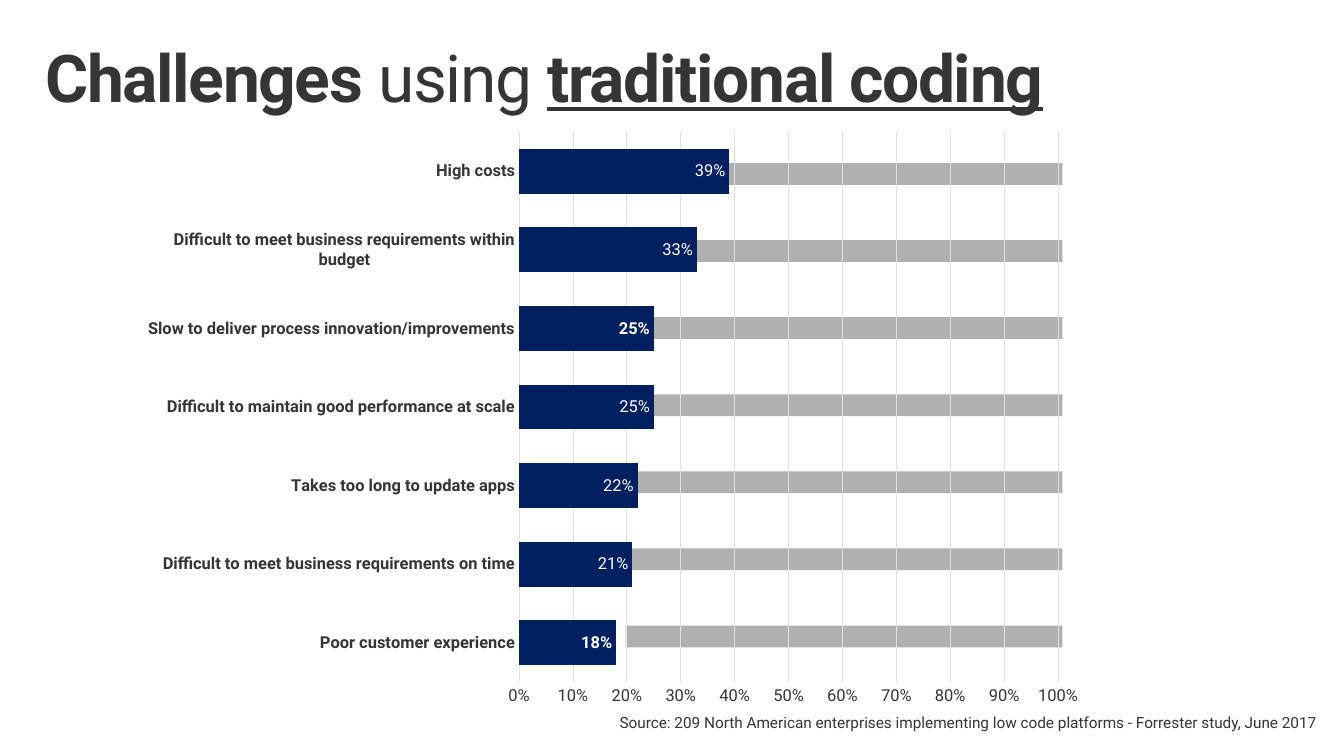
from lxml.etree import SubElement
from pptx import Presentation
from pptx.chart.data import CategoryChartData
from pptx.dml.color import RGBColor
from pptx.enum.chart import XL_CHART_TYPE, XL_LABEL_POSITION, XL_TICK_MARK
from pptx.enum.shapes import MSO_SHAPE
from pptx.enum.text import MSO_ANCHOR, MSO_AUTO_SIZE, PP_ALIGN
from pptx.oxml.ns import qn
from pptx.util import Inches, Pt

TITLE = [("Challenges", True, False), (" using ", False, False), ("traditional coding", True, True)]
SOURCE = "Source: 209 North American enterprises implementing low code platforms - Forrester study, June 2017"
ISSUES = [
    ("Poor customer experience", 0.18, True),
    ("Difficult to meet business requirements on time", 0.21, False),
    ("Takes too long to update apps", 0.22, False),
    ("Difficult to maintain good performance at scale", 0.25, False),
    ("Slow to deliver process innovation/improvements", 0.25, True),
    ("Difficult to meet business requirements within budget", 0.33, False),
    ("High costs", 0.39, False),
]
COLORS = {"text": "353535", "bar": "002060", "track": "B0B0B0", "grid": "E1E1E1", "label": "FFFFFF"}
FONT = "Roboto"
TRACK_TOP, TRACK_STEP = 1.65, 0.78
PLOT = {"x": 0.403, "y": 0.019, "w": 0.556, "h": 0.922}


def color(name):
    return RGBColor.from_string(COLORS[name])


def style(font, size, bold=False, tone="text"):
    font.name = FONT
    font.size = Pt(size)
    font.bold = bold
    font.color.rgb = color(tone)


def rule(line):
    line.color.rgb = color("grid")
    line.width = Pt(0.75)


def pad(frame, side, edge):
    frame.margin_left = frame.margin_right = Inches(side)
    frame.margin_top = frame.margin_bottom = Inches(edge)


def add_tracks(slide):
    for row in range(len(ISSUES)):
        top = TRACK_TOP + row * TRACK_STEP
        track = slide.shapes.add_shape(
            MSO_SHAPE.RECTANGLE, Inches(6.33), Inches(top), Inches(4.42), Inches(0.22))
        track.shadow.inherit = False
        track.fill.solid()
        track.fill.fore_color.rgb = color("track")
        track.line.fill.background()


def add_title(slide):
    title = slide.shapes.title
    title.left, title.top, title.width, title.height = map(Inches, (0.3, 0.32, 13, 1))
    frame = title.text_frame
    frame.auto_size = MSO_AUTO_SIZE.NONE
    frame.vertical_anchor = MSO_ANCHOR.MIDDLE
    pad(frame, 0.16, 0.1)
    para = frame.paragraphs[0]
    para.alignment = PP_ALIGN.LEFT
    para.line_spacing = 0.9
    for text, bold, under in TITLE:
        run = para.add_run()
        run.text = text
        style(run.font, 48, bold)
        run.font.underline = under
        run._r.get_or_add_rPr().set("spc", "-100")


def add_source(slide):
    box = slide.shapes.add_textbox(Inches(6.07), Inches(7.15), Inches(7.53), Inches(0.5))
    frame = box.text_frame
    frame.word_wrap = False
    frame.auto_size = MSO_AUTO_SIZE.SHAPE_TO_FIT_TEXT
    pad(frame, 0.2, 0.16)
    para = frame.paragraphs[0]
    para.line_spacing = 0.9
    para.space_after = Pt(6.1)
    run = para.add_run()
    run.text = SOURCE
    style(run.font, 11.2)


def place_plot(chart):
    area = chart._chartSpace.chart.plotArea
    old = area.find(qn("c:layout"))
    if old is not None:
        area.remove(old)
    layout = SubElement(area, qn("c:layout"))
    area.insert(0, layout)
    manual = SubElement(layout, qn("c:manualLayout"))
    parts = {"layoutTarget": "inner", "xMode": "edge", "yMode": "edge", **PLOT}
    for tag, val in parts.items():
        SubElement(manual, qn("c:" + tag)).set("val", str(val))


def add_chart(slide):
    data = CategoryChartData(number_format="0%")
    data.categories = [name for name, _, _ in ISSUES]
    data.add_series("Series 1", [val for _, val, _ in ISSUES])
    chart = slide.shapes.add_chart(
        XL_CHART_TYPE.BAR_CLUSTERED, Inches(1.3), Inches(1.22), Inches(9.81), Inches(6.04), data).chart
    style(chart.font, 10)
    chart.has_legend = chart.has_title = False
    place_plot(chart)

    names, scale = chart.category_axis, chart.value_axis
    for axis in (names, scale):
        axis.major_tick_mark = axis.minor_tick_mark = XL_TICK_MARK.NONE
    style(names.tick_labels.font, 12, True)
    rule(names.format.line)
    style(scale.tick_labels.font, 12)
    scale.format.line.fill.background()
    scale.minimum_scale, scale.maximum_scale, scale.major_unit = 0, 1, 0.1
    scale.tick_labels.number_format = "0%"
    scale.tick_labels.number_format_is_linked = False
    rule(scale.major_gridlines.format.line)

    plot = chart.plots[0]
    plot.gap_width = 75
    plot.vary_by_categories = False
    bars = plot.series[0]
    bars.format.fill.solid()
    bars.format.fill.fore_color.rgb = color("bar")
    labels = bars.data_labels
    labels.show_value = True
    labels.number_format = "0%"
    labels.number_format_is_linked = False
    labels.position = XL_LABEL_POSITION.INSIDE_END
    style(labels.font, 12, True, "label")
    for spot, (_, _, bold) in enumerate(ISSUES):
        if not bold:
            label = bars.points[spot].data_label
            style(label.font, 12, False, "label")
            label.position = XL_LABEL_POSITION.INSIDE_END


def main():
    deck = Presentation()
    deck.slide_width, deck.slide_height = Inches(13.6), Inches(7.65)
    slide = deck.slides.add_slide(deck.slide_layouts[5])
    add_tracks(slide)
    add_title(slide)
    add_source(slide)
    add_chart(slide)
    deck.save("out.pptx")


if __name__ == "__main__":
    main()
